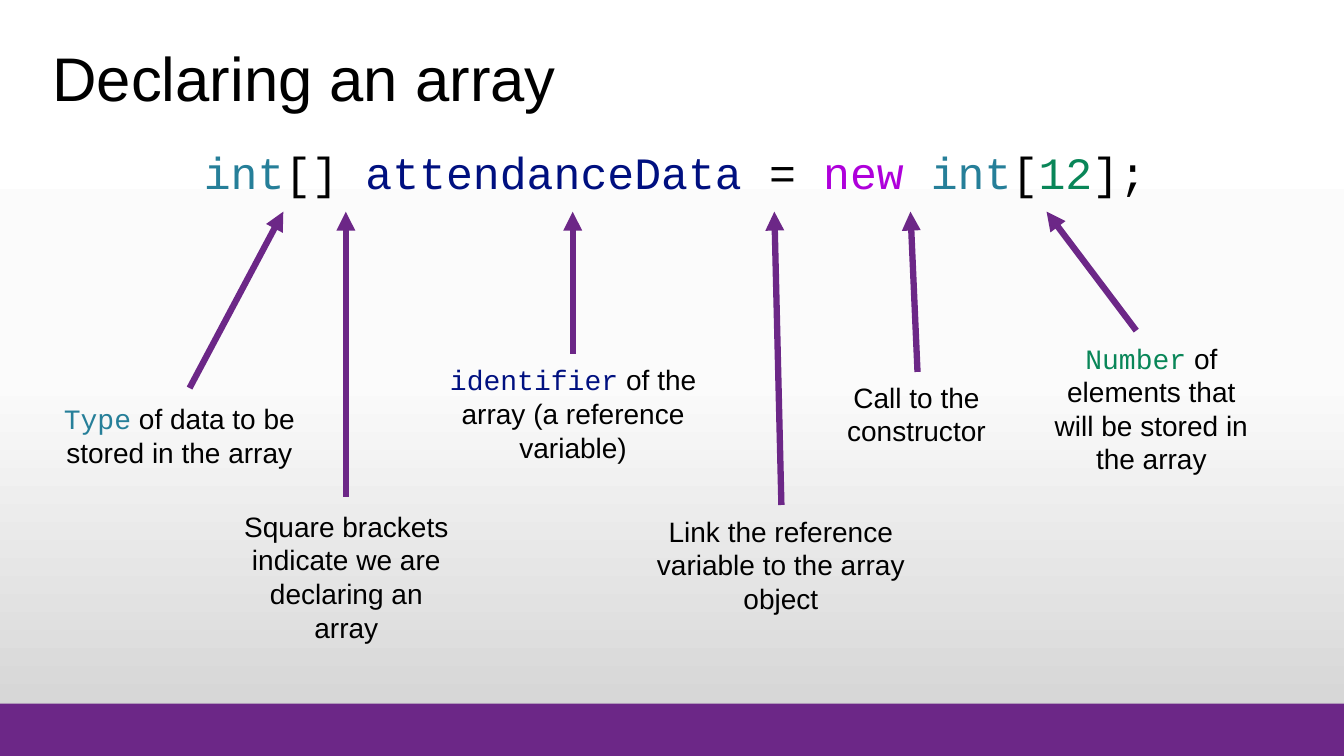
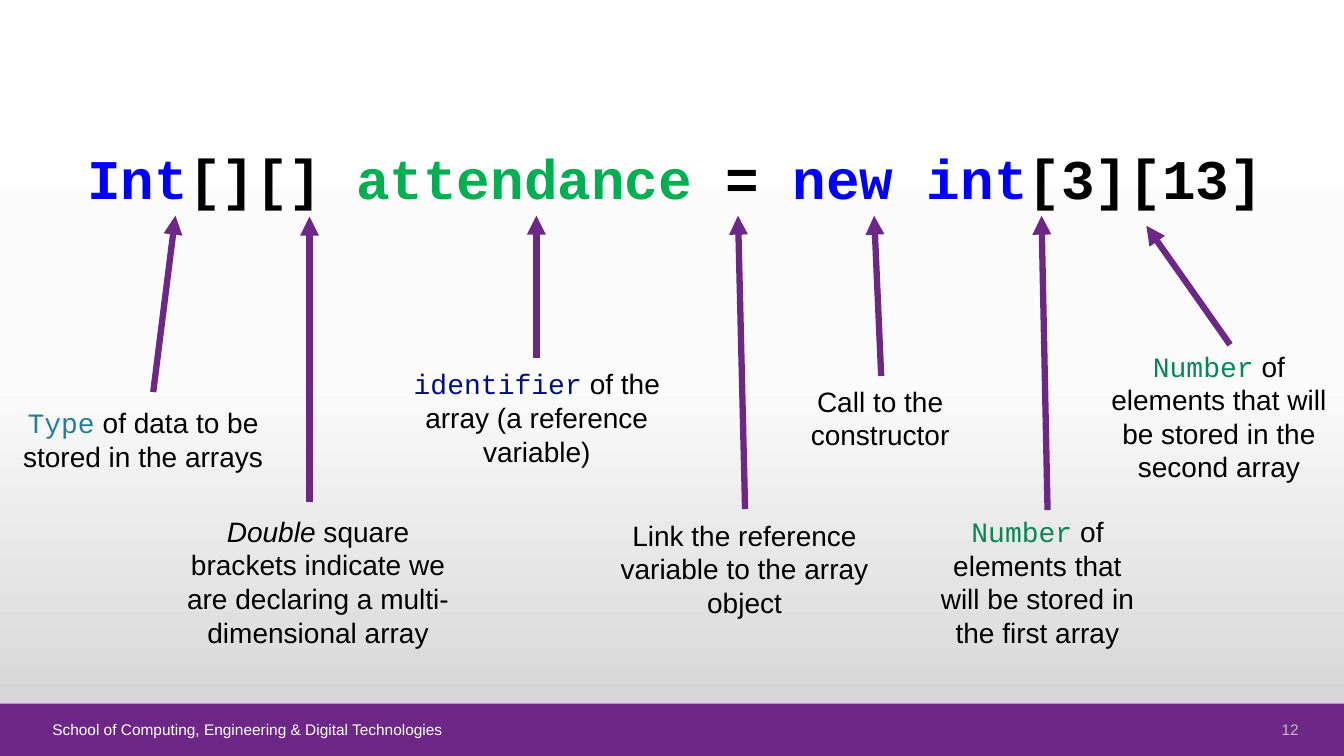
from pptx import Presentation
from pptx.dml.color import RGBColor
from pptx.enum.shapes import MSO_CONNECTOR, MSO_SHAPE
from pptx.enum.text import MSO_ANCHOR, MSO_AUTO_SIZE, PP_ALIGN
from pptx.oxml.ns import qn
from pptx.util import Inches, Pt
from copy import deepcopy
from lxml import etree

WHITE = RGBColor(0xFF, 0xFF, 0xFF)
PALE = RGBColor(0xFB, 0xFB, 0xFB)
GREY = RGBColor(0xD1, 0xD1, 0xD1)
SILVER = RGBColor(0xBF, 0xBF, 0xBF)
BLACK = RGBColor(0, 0, 0)
PURPLE = RGBColor(0x6C, 0x27, 0x87)
TEAL = RGBColor(0x26, 0x7F, 0x99)
NAVY = RGBColor(0x00, 0x10, 0x80)
VIOLET = RGBColor(0xAF, 0x00, 0xDB)
GREEN = RGBColor(0x09, 0x86, 0x58)
BLUE = RGBColor(0, 0, 0xFF)
LEAF = RGBColor(0x00, 0xB0, 0x50)

SANS, MONO = "Arial", "Courier New"
LEFT, RIGHT, CENTER = PP_ALIGN.LEFT, PP_ALIGN.RIGHT, PP_ALIGN.CENTER
TOP, MIDDLE, BOTTOM = MSO_ANCHOR.TOP, MSO_ANCHOR.MIDDLE, MSO_ANCHOR.BOTTOM
RECT, LINE = MSO_SHAPE.RECTANGLE, MSO_CONNECTOR.STRAIGHT
FIXED = MSO_AUTO_SIZE.NONE

WIDE, HIGH = 13.33, 7.5
MARGIN = 0.42
BAND = 6.98
SHIFT = (-0.36, 0.04)

LINK = ((6.27, 5.01, 2.95, 1.18),
        [("Link the reference variable to the array object", SANS, BLACK)],
        (1.48, 0), (-0.07, 2.91))
NAME = ((4.27, 3.51, 2.83, 1.18),
        [("identifier", MONO, NAVY),
         (" of the array (a reference variable)", SANS, BLACK)],
        (1.41, 0), (0, 1.41))
CALL = ((7.99, 3.69, 2.2, 0.83),
        [("Call to the constructor", SANS, BLACK)],
        (1.11, 0), (-0.07, 1.59))
SHARED = [NAME, CALL, LINK]


def style(run, font, size, color, bold=False):
    run.font.name = font
    run.font.size = Pt(size)
    run.font.color.rgb = color
    run.font.bold = bold


def add_text(shapes, box, parts, size, align=CENTER, anchor=MIDDLE, bold=False):
    frame = shapes.add_textbox(*map(Inches, box)).text_frame
    frame.word_wrap = True
    frame.vertical_anchor = anchor
    para = frame.paragraphs[0]
    para.alignment = align
    for text, font, color in parts:
        run = para.add_run()
        run.text = text
        style(run, font, size, color, bold)
    return para


def add_arrow(shapes, start, end):
    arrow = shapes.add_connector(LINE, *map(Inches, (*start, *end)))
    arrow.line.color.rgb = PURPLE
    arrow.line.width = Pt(4.5)
    etree.SubElement(arrow.line._get_or_add_ln(), qn("a:tailEnd"), type="triangle")
    etree.SubElement(arrow._element.spPr, qn("a:effectLst"))


def add_note(slide, box, parts, foot, reach, shift=(0, 0)):
    left, top = box[0] + shift[0], box[1] + shift[1]
    shapes = slide.shapes.add_group_shape().shapes
    para = add_text(shapes, (left, top, *box[2:]), parts, 20)
    start = left + foot[0], top + foot[1]
    add_arrow(shapes, start, (start[0] + reach[0], start[1] - reach[1]))
    return para


def add_code(slide, parts, size, bold=False):
    code = [(text, MONO, color) for text, color in parts]
    para = add_text(slide.shapes, (MARGIN, 1.45, 12.55, 5.31), code, size,
                    anchor=TOP, bold=bold)
    para.line_spacing = 0.9


def add_title(slide, text):
    title = slide.shapes.title
    title.left, title.top, title.width, title.height = map(
        Inches, (MARGIN, 0.32, 10.25, 0.87))
    frame = title.text_frame
    frame.text = text
    frame.auto_size = FIXED
    frame.vertical_anchor = BOTTOM
    para = frame.paragraphs[0]
    para.alignment = LEFT
    para.line_spacing = 0.9
    style(para.runs[0], SANS, 44, BLACK)


def add_footer(slide, text, number):
    add_text(slide.shapes, (12.23, 7.12, 0.75, 0.23),
             [(number, SANS, SILVER)], 11, RIGHT)
    add_text(slide.shapes, (MARGIN, 7.12, 11.65, 0.23),
             [(text, SANS, WHITE)], 11, LEFT)


def set_back(master):
    fill = master.background.fill
    fill.gradient()
    fill.gradient_angle = 270
    first = fill.gradient_stops[0]._gs
    first.addnext(deepcopy(first))
    for stop, place, color in zip(fill.gradient_stops, (0, 0.5, 1),
                                  (WHITE, PALE, GREY)):
        stop.position = place
        stop.color.rgb = color


def new_slide(deck, layout):
    slide = deck.slides.add_slide(deck.slide_layouts[layout])
    band = slide.shapes.add_shape(
        RECT, *map(Inches, (0, BAND, WIDE, HIGH - BAND)))
    band.shadow.inherit = False
    band.fill.solid()
    band.fill.fore_color.rgb = PURPLE
    band.line.fill.background()
    return slide


def single(deck):
    slide = new_slide(deck, 5)
    add_title(slide, "Declaring an array")
    add_code(slide, [
        ("int", TEAL), ("[] ", BLACK), ("attendanceData", NAVY),
        (" = ", BLACK), ("new ", VIOLET), ("int", TEAL), ("[", BLACK),
        ("12", GREEN), ("];", BLACK)], 32)
    add_note(slide, (0.36, 3.69, 2.84, 1.25),
             [("Type", MONO, TEAL),
              (" of data to be stored in the array", SANS, BLACK)],
             (1.52, 0.16), (0.93, 1.75))
    add_note(slide, (2.24, 5.07, 2.39, 1.3),
             [("Square brackets indicate we are declaring an array", SANS, BLACK)],
             (1.19, -0.14), (0, 2.83))
    for note in SHARED:
        add_note(slide, *note)
    add_note(slide, (10.32, 3.46, 2.2, 1.18),
             [("Number", MONO, GREEN),
              (" of elements that will be stored in the array", SANS, BLACK)],
             (0.95, -0.18), (-0.89, 1.18))


def double(deck):
    slide = new_slide(deck, 6)
    add_code(slide, [
        ("Int", BLUE), ("[][] ", BLACK), ("attendance", LEAF),
        (" = ", BLACK), ("new int", BLUE), ("[3][13]", BLACK)], 40, True)
    add_footer(slide, "School of Computing, Engineering & Digital Technologies", "12")
    add_note(slide, (0, 3.73, 2.84, 1.25),
             [("Type", MONO, TEAL),
              (" of data to be stored in the arrays", SANS, BLACK)],
             (1.52, 0.16), (0.22, 1.75))
    para = add_note(
        slide, (1.74, 5.12, 2.83, 1.3),
        [("Double", SANS, BLACK),
         (" square brackets indicate we are declaring a multi-dimensional array",
          SANS, BLACK)],
        (1.33, -0.14), (0, 2.83))
    para.runs[0].font.italic = True
    for note in SHARED:
        add_note(slide, *note, shift=SHIFT)
    for rank, box, foot, reach in (
            ("first", (9.19, 5.18, 2.2, 1.18), (1.2, -0.12), (-0.06, 2.92)),
            ("second", (10.92, 3.54, 2.34, 1.18), (1.28, -0.12), (-0.83, 1.18))):
        add_note(slide, box,
                 [("Number", MONO, GREEN),
                  (f" of elements that will be stored in the {rank} array",
                   SANS, BLACK)],
                 foot, reach)


def main():
    deck = Presentation()
    deck.slide_width, deck.slide_height = Inches(WIDE), Inches(HIGH)
    set_back(deck.slide_master)
    single(deck)
    double(deck)
    deck.save("out.pptx")


if __name__ == "__main__":
    main()
